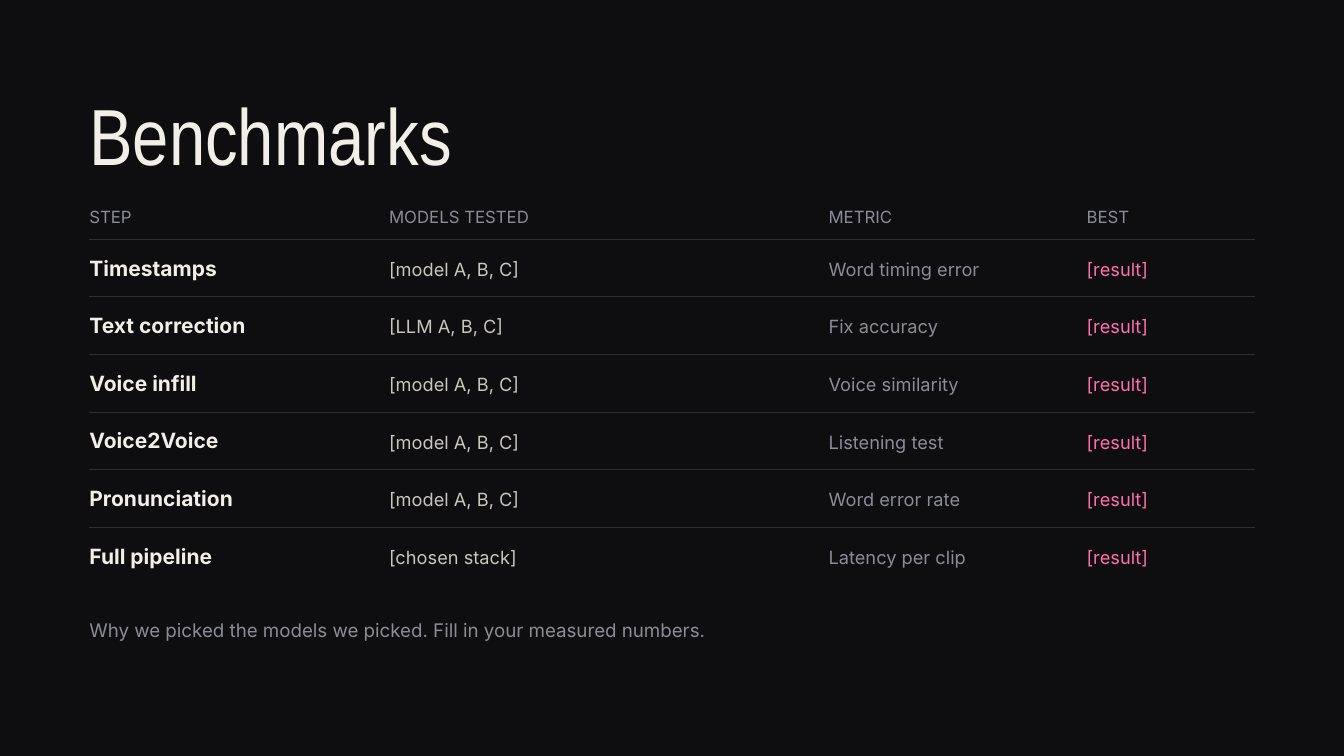
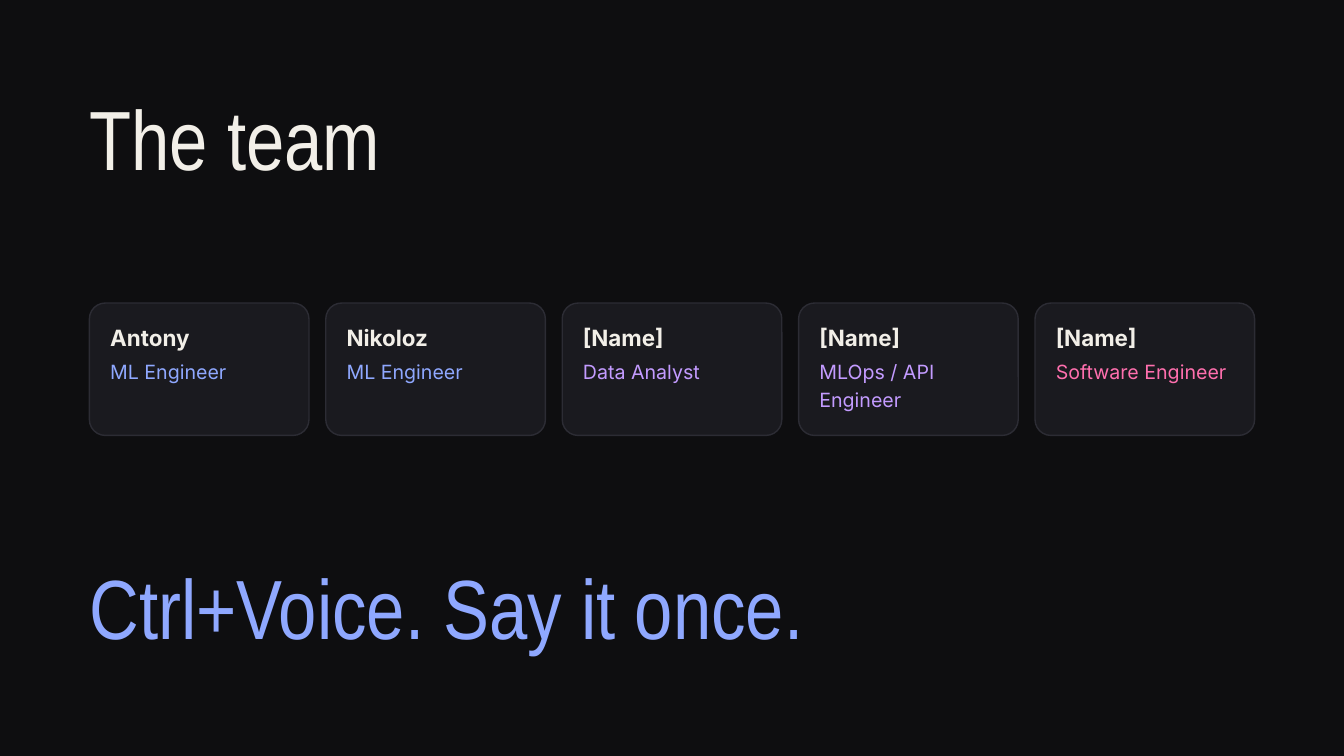
"""Builds the benchmarks and team slides of the voice deck."""
from dataclasses import dataclass

import lxml.etree
import pptx
import pptx.dml.color
import pptx.enum.shapes
import pptx.enum.text
import pptx.oxml.ns
import pptx.presentation
import pptx.slide
import pptx.table
import pptx.text.text
import pptx.util
from pptx.util import Inches

COLORS = {
    "background": "0E0E10",
    "card": "1A1A1F",
    "rule": "2C2C34",
    "ivory": "F2EFE8",
    "sand": "C9C6BE",
    "gray": "8C8C99",
    "blue": "8FA8FF",
    "violet": "C39BFF",
    "pink": "FF6FAE",
}
LEFT, RIGHT = 1.33, 18.67
TEXT_WIDTH = 17.85
TITLE_ONLY_LAYOUT = 5


@dataclass(frozen=True)
class TextStyle:
    size: float
    leading: float
    color: str
    font: str = "Inter"
    bold: bool = False


@dataclass(frozen=True)
class Column:
    heading: str
    left: float
    style: TextStyle
    top_margin: float = 0.24


@dataclass(frozen=True)
class Member:
    name: str
    role: str
    color: str


HEADING = TextStyle(18, 25.2, "gray")
MEMBER_NAME = TextStyle(24, 28.8, "ivory", bold=True)
NOTE = TextStyle(20.1, 28.1, "gray")
TAGLINE = TextStyle(90, 90, "blue", "Arial Narrow")

COLUMNS = [
    Column("STEP", LEFT, TextStyle(22.5, 31.5, "ivory", bold=True), 0.19),
    Column("MODELS TESTED", 5.79, TextStyle(19.5, 27.3, "sand")),
    Column("METRIC", 12.33, TextStyle(19.5, 27.3, "gray")),
    Column("BEST", 16.17, TextStyle(19.5, 27.3, "pink")),
]
BENCHMARKS = [
    ("Timestamps", "[model A, B, C]", "Word timing error", "[result]"),
    ("Text correction", "[LLM A, B, C]", "Fix accuracy", "[result]"),
    ("Voice infill", "[model A, B, C]", "Voice similarity", "[result]"),
    ("Voice2Voice", "[model A, B, C]", "Listening test", "[result]"),
    ("Pronunciation", "[model A, B, C]", "Word error rate", "[result]"),
    ("Full pipeline", "[chosen stack]", "Latency per clip", "[result]"),
]
TABLE_TOP, HEADER_HEIGHT = 3.03, 0.53
ROW_HEIGHT = 5.14 / len(BENCHMARKS)

TEAM = [
    Member("Antony", "ML Engineer", "blue"),
    Member("Nikoloz", "ML Engineer", "blue"),
    Member("[Name]", "Data Analyst", "violet"),
    Member("[Name]", "MLOps / API Engineer", "violet"),
    Member("[Name]", "Software Engineer", "pink"),
]
CARD_TOP, CARD_HEIGHT, CARD_GAP = 4.51, 1.97, 0.25


def color(name: str) -> pptx.dml.color.RGBColor:
    return pptx.dml.color.RGBColor.from_string(COLORS[name])


def write(paragraph: pptx.text.text._Paragraph, text: str, style: TextStyle) -> None:
    paragraph.alignment = pptx.enum.text.PP_ALIGN.LEFT
    paragraph.line_spacing = pptx.util.Pt(style.leading)
    run = paragraph.add_run()
    run.text = text
    run.font.name = style.font
    run.font.size = pptx.util.Pt(style.size)
    run.font.bold = style.bold
    run.font.color.rgb = color(style.color)


def prepare_frame(frame: pptx.text.text.TextFrame, left: float = 0,
                  top: float = 0, right: float = 0) -> None:
    frame.margin_left, frame.margin_top = Inches(left), Inches(top)
    frame.margin_right, frame.margin_bottom = Inches(right), 0
    frame.word_wrap = True
    frame.auto_size = pptx.enum.text.MSO_AUTO_SIZE.NONE
    frame.vertical_anchor = pptx.enum.text.MSO_ANCHOR.TOP


def add_titled_slide(presentation: pptx.presentation.Presentation, text: str,
                     top: float, size: float, leading: float) -> pptx.slide.Slide:
    slide = presentation.slides.add_slide(presentation.slide_layouts[TITLE_ONLY_LAYOUT])
    title = slide.shapes.title
    title.left, title.top = Inches(LEFT), Inches(top)
    title.width, title.height = Inches(TEXT_WIDTH), Inches(1.2)
    prepare_frame(title.text_frame)
    write(title.text_frame.paragraphs[0], text,
          TextStyle(size, leading, "ivory", "Arial Narrow"))
    return slide


def add_line_of_text(slide: pptx.slide.Slide, text: str, top: float,
                     height: float, style: TextStyle) -> None:
    box = slide.shapes.add_textbox(Inches(LEFT), Inches(top),
                                   Inches(TEXT_WIDTH), Inches(height))
    prepare_frame(box.text_frame)
    write(box.text_frame.paragraphs[0], text, style)


def clear_borders(cell: pptx.table._Cell) -> None:
    properties = cell._tc.get_or_add_tcPr()
    for tag in ("a:lnL", "a:lnR", "a:lnT", "a:lnB"):
        border = lxml.etree.SubElement(properties, pptx.oxml.ns.qn(tag))
        lxml.etree.SubElement(border, pptx.oxml.ns.qn("a:noFill"))


def add_rule(slide: pptx.slide.Slide, top: float) -> None:
    rule = slide.shapes.add_connector(
        pptx.enum.shapes.MSO_CONNECTOR.STRAIGHT,
        Inches(LEFT), Inches(top), Inches(RIGHT), Inches(top))
    rule.line.color.rgb = color("rule")
    rule.line.width = pptx.util.Pt(0.75)
    lxml.etree.SubElement(rule._element.spPr, pptx.oxml.ns.qn("a:effectLst"))


def add_benchmark_table(slide: pptx.slide.Slide) -> None:
    rows = [tuple(column.heading for column in COLUMNS), *BENCHMARKS]
    height = HEADER_HEIGHT + ROW_HEIGHT * len(BENCHMARKS)
    table = slide.shapes.add_table(
        len(rows), len(COLUMNS), Inches(LEFT), Inches(TABLE_TOP),
        Inches(RIGHT - LEFT), Inches(height)).table
    table.horz_banding = False
    edges = [column.left for column in COLUMNS] + [RIGHT]
    for index, (start, end) in enumerate(zip(edges, edges[1:])):
        table.columns[index].width = Inches(end - start)
    for row_index, texts in enumerate(rows):
        is_header = row_index == 0
        table.rows[row_index].height = Inches(HEADER_HEIGHT if is_header else ROW_HEIGHT)
        for column_index, (column, text) in enumerate(zip(COLUMNS, texts)):
            cell = table.cell(row_index, column_index)
            clear_borders(cell)
            cell.fill.solid()
            cell.fill.fore_color.rgb = color("background")
            cell.margin_left = cell.margin_right = cell.margin_bottom = 0
            cell.margin_top = 0 if is_header else Inches(column.top_margin)
            cell.vertical_anchor = pptx.enum.text.MSO_ANCHOR.TOP
            write(cell.text_frame.paragraphs[0], text,
                  HEADING if is_header else column.style)
    for index in range(len(BENCHMARKS)):
        add_rule(slide, TABLE_TOP + HEADER_HEIGHT + index * ROW_HEIGHT)


def add_member_card(slide: pptx.slide.Slide, member: Member,
                    left: float, width: float) -> None:
    card = slide.shapes.add_shape(
        pptx.enum.shapes.MSO_SHAPE.ROUNDED_RECTANGLE,
        Inches(left), Inches(CARD_TOP), Inches(width), Inches(CARD_HEIGHT))
    card.adjustments[0] = 0.12
    card.shadow.inherit = False
    card.fill.solid()
    card.fill.fore_color.rgb = color("card")
    card.line.color.rgb = color("rule")
    card.line.width = pptx.util.Pt(1.5)
    frame = card.text_frame
    prepare_frame(frame, left=0.24, top=0.24, right=0.16)
    write(frame.paragraphs[0], member.name, MEMBER_NAME)
    role = frame.add_paragraph()
    role.space_before = pptx.util.Pt(6)
    write(role, member.role, TextStyle(21, 29.4, member.color))


def build_benchmarks(presentation: pptx.presentation.Presentation) -> None:
    slide = add_titled_slide(presentation, "Benchmarks", 1.46, 85.2, 89.5)
    add_benchmark_table(slide)
    add_line_of_text(
        slide, "Why we picked the models we picked. Fill in your measured numbers.",
        9.15, 0.48, NOTE)


def build_team(presentation: pptx.presentation.Presentation) -> None:
    slide = add_titled_slide(presentation, "The team", 1.47, 90, 94.5)
    width = (RIGHT - LEFT - CARD_GAP * (len(TEAM) - 1)) / len(TEAM)
    for index, member in enumerate(TEAM):
        add_member_card(slide, member, LEFT + index * (width + CARD_GAP), width)
    add_line_of_text(slide, "Ctrl+Voice. Say it once.", 8.51, 1.11, TAGLINE)


def main() -> None:
    presentation = pptx.Presentation()
    presentation.slide_width = Inches(20)
    presentation.slide_height = Inches(11.25)
    background = presentation.slide_master.background.fill
    background.solid()
    background.fore_color.rgb = color("background")
    build_benchmarks(presentation)
    build_team(presentation)
    presentation.save("out.pptx")


if __name__ == "__main__":
    main()
